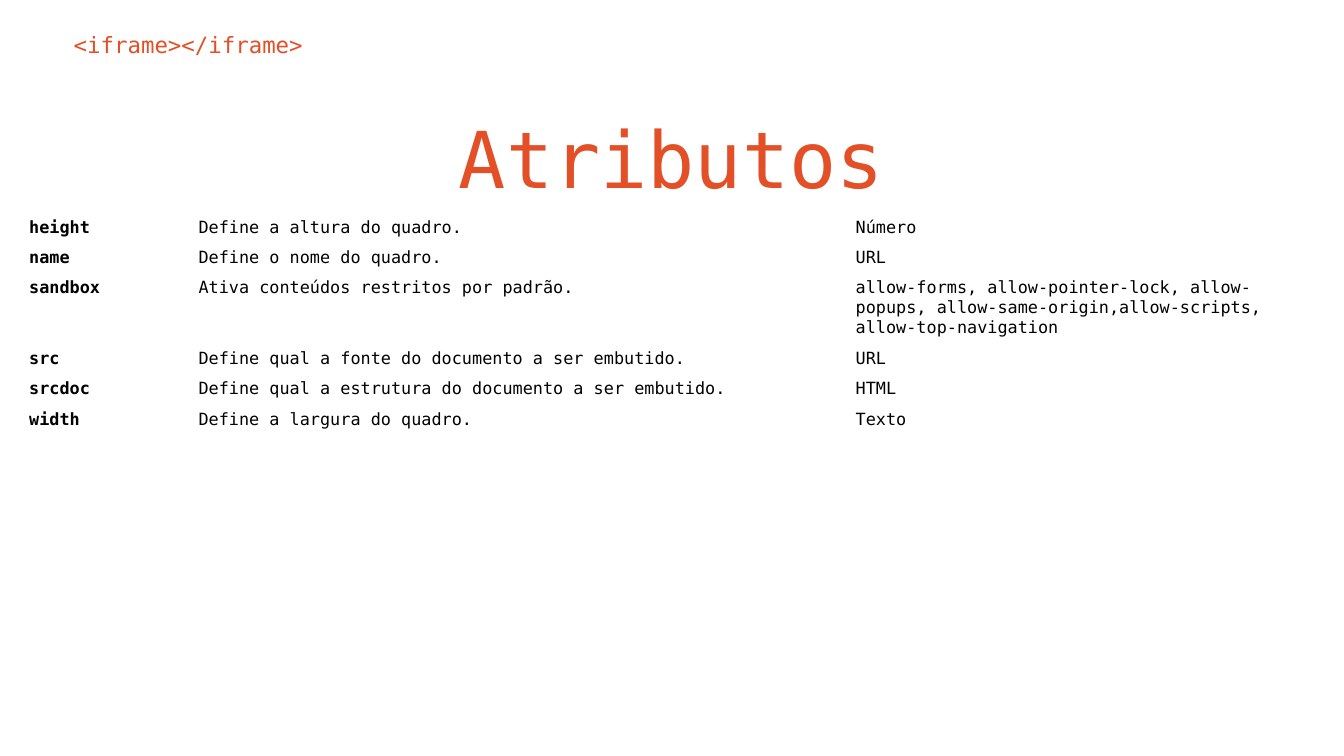
from pptx import Presentation
from pptx.dml.color import RGBColor
from pptx.enum.text import MSO_ANCHOR, PP_ALIGN
from pptx.util import Inches, Pt

LEFT, CENTER = PP_ALIGN.LEFT, PP_ALIGN.CENTER
TOP = MSO_ANCHOR.TOP
ORANGE = RGBColor(0xE3, 0x4F, 0x26)
BLACK = RGBColor(0, 0, 0)
FONT = "DejaVu Sans Mono"
COLUMNS = (1.26, 4.89, 3.37)
ROW_HEIGHT = 0.2
ATTRIBUTES = [
    ("height", "Define a altura do quadro.", "Número"),
    ("name", "Define o nome do quadro.", "URL"),
    ("sandbox", "Ativa conteúdos restritos por padrão.",
     "allow-forms, allow-pointer-lock, allow-popups, "
     "allow-same-origin,allow-scripts, allow-top-navigation"),
    ("src", "Define qual a fonte do documento a ser embutido.", "URL"),
    ("srcdoc", "Define qual a estrutura do documento a ser embutido.", "HTML"),
    ("width", "Define a largura do quadro.", "Texto"),
]


def set_margins(target, inset):
    for side in ("left", "top", "right", "bottom"):
        setattr(target, f"margin_{side}", inset)


def write(tf, text, size, color, bold=False, align=LEFT):
    p = tf.paragraphs[0]
    p.alignment = align
    r = p.add_run()
    r.text = text
    for name, value in {"name": FONT, "size": Pt(size), "bold": bold}.items():
        setattr(r.font, name, value)
    r.font.color.rgb = color


def add_heading(slide, box, text, size, align=LEFT):
    tf = slide.shapes.add_textbox(*map(Inches, box)).text_frame
    tf.word_wrap = True
    tf.vertical_anchor = TOP
    set_margins(tf, Inches(0.1))
    write(tf, text, size, ORANGE, align=align)


def add_attribute_table(slide, left, top):
    box = (left, top, sum(COLUMNS), ROW_HEIGHT * len(ATTRIBUTES))
    table = slide.shapes.add_table(
        len(ATTRIBUTES), len(COLUMNS), *map(Inches, box)).table
    table.first_row = table.horz_banding = False
    for column, width in zip(table.columns, COLUMNS):
        column.width = Inches(width)
    for i, attribute in enumerate(ATTRIBUTES):
        table.rows[i].height = Inches(ROW_HEIGHT)
        for j, text in enumerate(attribute):
            cell = table.cell(i, j)
            cell.fill.background()
            cell.vertical_anchor = TOP
            set_margins(cell, Pt(2.7))
            write(cell.text_frame, text, 9, BLACK, bold=j == 0)


def main():
    prs = Presentation()
    prs.slide_width = Inches(10)
    prs.slide_height = prs.slide_width * 9 // 16
    slide = prs.slides.add_slide(prs.slide_layouts[6])
    add_heading(slide, (0.45, 0.13, 9.18, 0.42), "<iframe></iframe>", 12)
    add_heading(slide, (0.71, 0.72, 8.57, 0.86), "Atributos", 42, CENTER)
    add_attribute_table(slide, 0.18, 1.58)
    prs.save("out.pptx")


if __name__ == "__main__":
    main()
